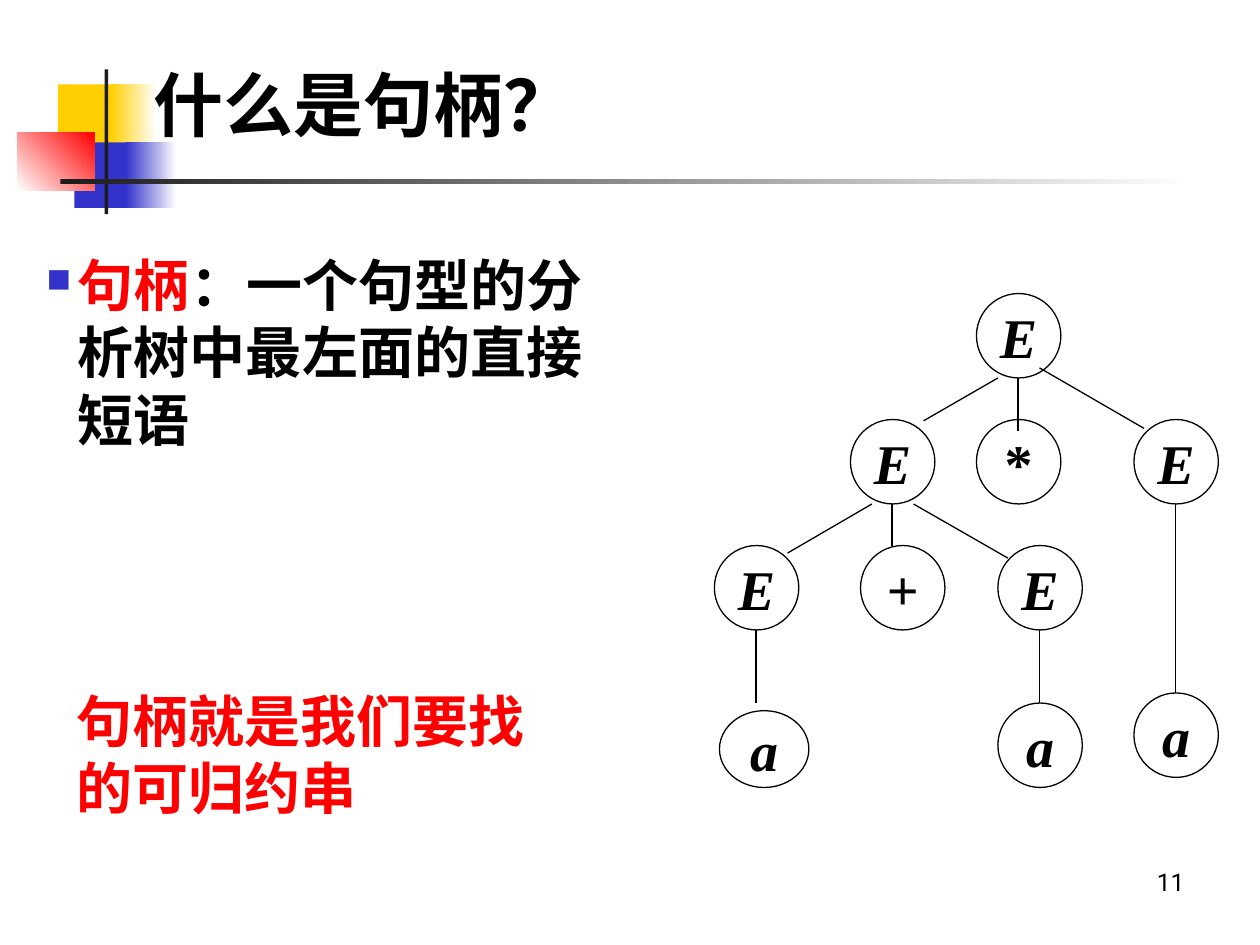
from lxml import etree
from pptx import Presentation
from pptx.dml.color import RGBColor
from pptx.enum.lang import MSO_LANGUAGE_ID
from pptx.enum.shapes import MSO_CONNECTOR, MSO_SHAPE
from pptx.enum.text import MSO_ANCHOR, PP_ALIGN
from pptx.oxml.ns import qn
from pptx.util import Inches, Pt

RECTANGLE = MSO_SHAPE.RECTANGLE
OVAL = MSO_SHAPE.OVAL
STRAIGHT = MSO_CONNECTOR.STRAIGHT
TOP, MIDDLE = MSO_ANCHOR.TOP, MSO_ANCHOR.MIDDLE
LEFT, CENTER, RIGHT = PP_ALIGN.LEFT, PP_ALIGN.CENTER, PP_ALIGN.RIGHT
CHINESE = MSO_LANGUAGE_ID.SIMPLIFIED_CHINESE

BLACK = RGBColor(0x00, 0x00, 0x00)
WHITE = RGBColor(0xFF, 0xFF, 0xFF)
RED = RGBColor(0xFF, 0x00, 0x00)
YELLOW = RGBColor(0xFF, 0xCF, 0x01)
BLUE = RGBColor(0x33, 0x33, 0xCC)
CHARCOAL = RGBColor(0x1C, 0x1C, 0x1C)

SANS = "Roboto"
SERIF = "Times New Roman"
NODE_SIZE = 0.67

DECORATIONS = [
    (0.46, 0.67, 0.48, 0.52, YELLOW, None, 0),
    (0.88, 0.67, 0.36, 0.52, YELLOW, WHITE, 0),
    (0.59, 1.13, 0.46, 0.52, BLUE, None, 0),
    (1, 1.13, 0.4, 0.52, BLUE, WHITE, 0),
    (0.14, 1.05, 0.61, 0.46, WHITE, RED, 45),
    (0.83, 0.55, 0.03, 1.15, CHARCOAL, None, 0),
    (0.48, 1.42, 9, 0.04, CHARCOAL, WHITE, 0),
]

NODES = [
    ("E", 7.75, 2.33),
    ("E", 6.75, 3.33),
    ("*", 7.75, 3.33),
    ("E", 9, 3.33),
    ("+", 6.83, 4.33),
    ("E", 5.67, 4.33),
    ("E", 7.92, 4.33),
    ("a", 7.92, 5.58),
    ("a", 9, 5.5),
]

BRANCHES = [
    (8.08, 3, 8.08, 3.42),
    (7.92, 3, 7.33, 3.34),
    (8.25, 2.92, 9.08, 3.4),
    (7.08, 4, 7.08, 4.33),
    (6.92, 4, 6.25, 4.39),
    (7.25, 4, 8, 4.43),
    (6, 5, 6, 5.58),
    (8.25, 5, 8.25, 5.58),
    (9.33, 4, 9.33, 5.5),
]


def add_decoration(page, left, top, width, height, start, end, angle):
    block = page.shapes.add_shape(
        RECTANGLE, Inches(left), Inches(top), Inches(width), Inches(height)
    )
    block.shadow.inherit = False
    block.line.fill.background()
    if end is None:
        block.fill.solid()
        block.fill.fore_color.rgb = start
        return
    block.fill.gradient()
    block.fill.gradient_angle = angle
    for stop, color in zip(block.fill.gradient_stops, (start, end)):
        stop.color.rgb = color


def add_span(para, text, size, font, color, bold=True, italic=False):
    span = para.add_run()
    span.text = text
    span.font.size = Pt(size)
    span.font.name = font
    span.font.bold = bold
    span.font.italic = italic
    span.font.color.rgb = color
    return span


def add_text_shadow(span):
    effects = etree.Element(qn("a:effectLst"))
    shadow = etree.SubElement(
        effects, qn("a:outerShdw"), dist="35921", dir="2700000", algn="ctr"
    )
    etree.SubElement(shadow, qn("a:srgbClr"), val=str(BLACK))
    span.font.fill
    span.font._element.find(qn("a:solidFill")).addnext(effects)


def add_text(page, left, top, width, height, spans, size, font,
             bold=True, anchor=TOP, align=LEFT, before=0, shadow=False):
    box = page.shapes.add_textbox(
        Inches(left), Inches(top), Inches(width), Inches(height)
    )
    box.text_frame.word_wrap = True
    box.text_frame.vertical_anchor = anchor
    para = box.text_frame.paragraphs[0]
    para.alignment = align
    para.space_before = Pt(before)
    for text, color in spans:
        span = add_span(para, text, size, font, color, bold)
        span.font.language_id = CHINESE
        if shadow:
            add_text_shadow(span)
    return para


def add_square_bullet(para, color):
    properties = para._p.get_or_add_pPr()
    properties.set("marL", str(Inches(0.25)))
    properties.set("indent", str(-Inches(0.25)))
    bullet_color = etree.SubElement(properties, qn("a:buClr"))
    etree.SubElement(bullet_color, qn("a:srgbClr"), val=str(color))
    etree.SubElement(properties, qn("a:buSzPct"), val="60000")
    etree.SubElement(properties, qn("a:buChar"), char="■")


def add_node(page, label, left, top, width=NODE_SIZE, height=NODE_SIZE):
    node = page.shapes.add_shape(
        OVAL, Inches(left), Inches(top), Inches(width), Inches(height)
    )
    node.shadow.inherit = False
    node.fill.solid()
    node.fill.fore_color.rgb = WHITE
    node.line.color.rgb = BLACK
    node.line.width = Pt(0.75)
    node.text_frame.word_wrap = False
    node.text_frame.vertical_anchor = MIDDLE
    para = node.text_frame.paragraphs[0]
    para.alignment = CENTER
    add_span(para, label, 32, SERIF, BLACK, italic=label.isalpha())


def add_branch(page, *ends):
    branch = page.shapes.add_connector(STRAIGHT, *map(Inches, ends))
    branch.line.color.rgb = BLACK
    branch.line.width = Pt(0.75)
    etree.SubElement(branch._element.spPr, qn("a:effectLst"))


def main():
    deck = Presentation()
    deck.slide_width = Inches(10)
    deck.slide_height = Inches(7.5)
    page = deck.slides.add_slide(deck.slide_layouts[6])

    for decoration in DECORATIONS:
        add_decoration(page, *decoration)
    add_text(page, 7.17, 6.83, 2.33, 0.52, [("11", BLACK)], 14, SANS,
             bold=False, align=RIGHT)

    for node in NODES:
        add_node(page, *node)
    add_node(page, "a", 5.71, 5.64, 0.71, 0.61)
    for branch in BRANCHES:
        add_branch(page, *branch)

    add_text(page, 1.12, 0.28, 8.58, 1.08, [("什么是句柄？", BLACK)], 40, SERIF,
             anchor=MIDDLE)
    definition = [("句柄", RED), ("：一个句型的分析树中最左面的直接短语", BLACK)]
    para = add_text(page, 0.27, 1.94, 4.49, 1.7, definition, 32, SANS,
                    before=8, shadow=True)
    add_square_bullet(para, BLUE)
    add_text(page, 0.51, 5.4, 4.02, 1.17, [("句柄就是我们要找的可归约串", RED)],
             32, SANS, before=20, shadow=True)
    deck.save("out.pptx")


if __name__ == "__main__":
    main()
